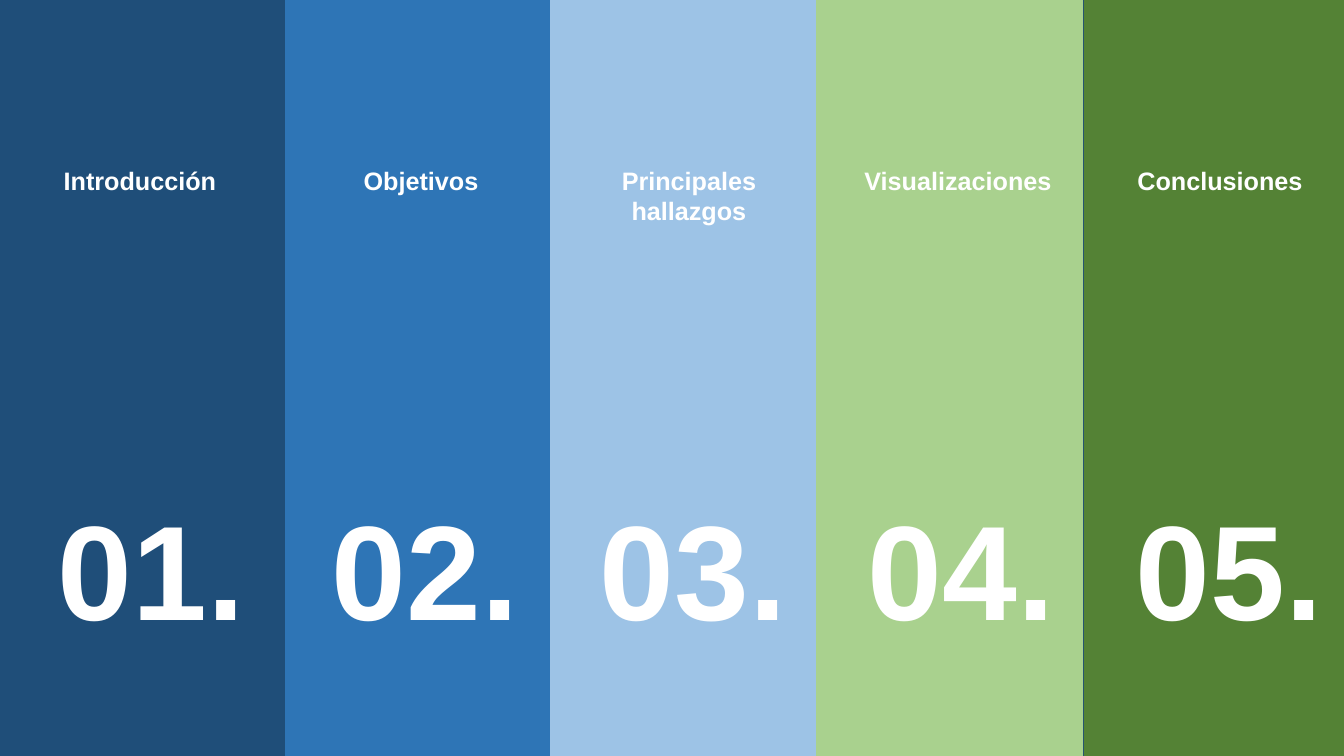
import pptx
import pptx.dml.color
import pptx.enum.shapes
import pptx.enum.text
import pptx.util

RGBColor = pptx.dml.color.RGBColor

NAVY = RGBColor(0x1F, 0x4E, 0x79)
BLUE = RGBColor(0x2E, 0x75, 0xB6)
SKY = RGBColor(0x9D, 0xC3, 0xE6)
LIME = RGBColor(0xA9, 0xD1, 0x8E)
GREEN = RGBColor(0x54, 0x82, 0x35)
WHITE = RGBColor(0xFF, 0xFF, 0xFF)

EMU_PER_PX = 914400 / 100.8
SLIDE_WIDTH, SLIDE_HEIGHT = 1344, 756
COLUMN_WIDTH = 268
TITLE_TOP, TITLE_HEIGHT = 160, 72
NUMBER_TOP, NUMBER_HEIGHT = 481, 173

# Title, colour, then the left edges of band, number and title
SECTIONS = [
    ("Introducción", NAVY, 17, 17, 6),
    ("Objetivos", BLUE, 282, 291, 287),
    ("Principales hallazgos", SKY, 548, 559, 555),
    ("Visualizaciones", LIME, 815, 827, 824),
    ("Conclusiones", GREEN, 1084, 1095, 1086),
]


def px(length):
    return pptx.util.Emu(round(length * EMU_PER_PX))


def add_band(shapes, left, color):
    band = shapes.add_shape(
        pptx.enum.shapes.MSO_SHAPE.RECTANGLE,
        px(left), 0, px(COLUMN_WIDTH), px(SLIDE_HEIGHT))
    band.shadow.inherit = False
    band.fill.solid()
    band.fill.fore_color.rgb = color
    band.line.fill.background()


def add_label(shapes, text, left, top, height, size):
    label = shapes.add_textbox(px(left), px(top), px(COLUMN_WIDTH), px(height))
    frame = label.text_frame
    frame.word_wrap = True
    frame.auto_size = pptx.enum.text.MSO_AUTO_SIZE.SHAPE_TO_FIT_TEXT
    frame.text = text
    paragraph = frame.paragraphs[0]
    paragraph.alignment = pptx.enum.text.PP_ALIGN.CENTER
    font = paragraph.runs[0].font
    font.name = "Arial"
    font.size = pptx.util.Pt(size)
    font.bold = True
    font.color.rgb = WHITE


def add_section(slide, number, title, color, band_left, number_left, title_left):
    section = slide.shapes.add_group_shape().shapes
    add_band(section, band_left, color)
    add_label(section, f"{number:02d}.", number_left, NUMBER_TOP, NUMBER_HEIGHT, 96)
    add_label(section, title, title_left, TITLE_TOP, TITLE_HEIGHT, 18)


def main():
    presentation = pptx.Presentation()
    presentation.slide_width = px(SLIDE_WIDTH)
    presentation.slide_height = px(SLIDE_HEIGHT)
    slide = presentation.slides.add_slide(presentation.slide_layouts[6])

    # Background
    slide.background.fill.solid()
    slide.background.fill.fore_color.rgb = NAVY

    # Agenda columns, last one first so that each overlaps its right neighbour
    for number, section in reversed(list(enumerate(SECTIONS, start=1))):
        add_section(slide, number, *section)

    presentation.save("out.pptx")


if __name__ == "__main__":
    main()
